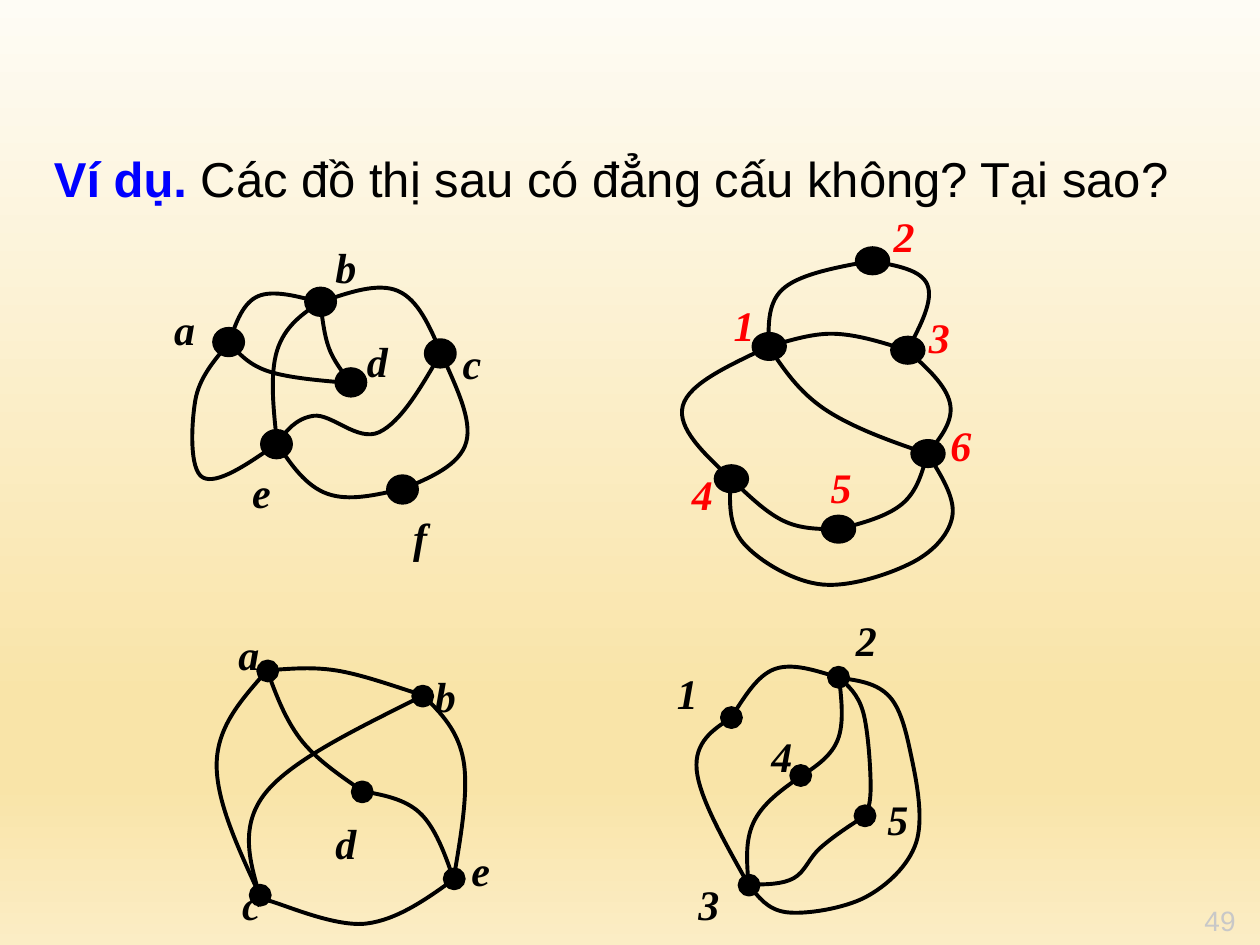
from lxml import etree
from pptx import Presentation
from pptx import util as u
from pptx.dml.color import RGBColor
from pptx.enum import shapes, text
from pptx.oxml.ns import qn

PX = 9144  # EMU per px, 100 px to the inch
COLORS = {"ink": "000000", "blue": "0000FF", "red": "FF0000", "number": "C8C8C8"}
BACKDROP = [(0, "FEFCF5"), (74, "F9E4A8"), (83, "F9E4A8"), (100, "FBEDC5")]
LABEL_FONT = {"name": "Times New Roman", "size": u.Pt(24), "bold": True, "italic": True}
TITLE_FONT = {"name": "Arial", "size": u.Pt(28)}
LABEL_WIDTH = {"c": 35, "e": 35, "f": 29}  # narrow letters, 37 otherwise

# Vertices: corner of the dot, corner of the label.
# Edges: two vertices and the points the curve passes between them.
GRAPHS = [
    {"dot": (23, 21), "label_color": "ink", "grouped": False,
     "vertices": {
         "a": ((170, 261), (128, 236)), "b": ((243, 229), (256, 187)),
         "d": ((267, 293), (281, 261)), "c": ((338, 270), (357, 263)),
         "e": ((208, 342), (190, 365)), "f": ((308, 378), (318, 401))},
     "edges": [
         ("ad", (214, 295)), ("ab", (205, 235)), ("db", (261, 276)),
         ("be", (220, 278)), ("bc", (316, 231)), ("ec", (249, 330), (301, 343)),
         ("ae", (155, 318), (161, 379)), ("ef", (260, 392)), ("fc", (370, 351))]},
    {"dot": (25, 20), "label_color": "red", "grouped": True,
     "vertices": {
         "2": ((680, 197), (699, 162)), "1": ((598, 265), (572, 233)),
         "3": ((708, 268), (727, 242)), "6": ((724, 350), (744, 328)),
         "4": ((568, 370), (539, 367)), "5": ((653, 410), (649, 361))},
     "edges": [
         ("12", (623, 228)), ("23", (736, 226)), ("13", (664, 265)),
         ("16", (655, 325)), ("36", (754, 320)), ("14", (542, 322)),
         ("45", (621, 413)), ("56", (716, 400)),
         ("46", (590, 431), (653, 464), (725, 446), (756, 409))]},
    {"dot": (15, 15), "label_color": "ink", "grouped": False,
     "vertices": {
         "a": ((205, 525), (179, 494)), "d": ((280, 621), (256, 644)),
         "b": ((328, 545), (335, 527)), "e": ((353, 690), (364, 665)),
         "c": ((199, 703), (182, 692))},
     "edges": [
         ("ab", (266, 532)), ("ac", (172, 605)), ("cb", (211, 629)),
         ("ad", (238, 586)), ("de", (333, 645)), ("ce", (214, 715), (291, 733)),
         ("be", (368, 604))]},
    {"dot": (15, 15), "label_color": "ink", "grouped": False,
     "vertices": {
         "1": ((573, 562), (527, 525)), "2": ((658, 530), (669, 483)),
         "3": ((587, 695), (544, 692)), "5": ((679, 640), (694, 625)),
         "4": ((628, 608), (602, 575))},
     "edges": [
         ("12", (615, 531)), ("13", (553, 611)), ("34", (598, 653)),
         ("42", (665, 587)), ("25", (685, 565), (691, 624)),
         ("35", (630, 697), (651, 673)),
         ("32", (624, 724), (687, 712), (727, 669), (724, 604), (706, 553))]},
]


def add_text(box, runs, frame_format, align=None, before=0):
    """Text box of one paragraph; runs are (text, colour, font format)."""
    frame = slide.shapes.add_textbox(*(v * PX for v in box)).text_frame
    for key, value in frame_format.items():
        setattr(frame, key, value)
    line = frame.paragraphs[0]
    line.alignment = align
    if before:
        spacing = etree.SubElement(line._p.get_or_add_pPr(), qn("a:spcBef"))
        etree.SubElement(spacing, qn("a:spcPct"), val=str(before * 1000))
    for words, color, font_format in runs:
        run = line.add_run()
        run.text = words
        run.font.color.rgb = RGBColor.from_string(COLORS[color])
        for key, value in font_format.items():
            setattr(run.font, key, value)


def paint(part, filled):
    """Black outline, with a black or an empty inside."""
    ink = RGBColor.from_string(COLORS["ink"])
    part.shadow.inherit = False
    part.line.color.rgb = ink
    part.line.width = u.Pt(2.25)
    if filled:
        part.fill.solid()
        part.fill.fore_color.rgb = ink
    else:
        part.fill.background()


deck = Presentation()
deck.slide_width, deck.slide_height = 1000 * PX, 750 * PX
slide = deck.slides.add_slide(deck.slide_layouts[6])

# Background gradient, top to bottom
backdrop = slide.background.fill
backdrop.gradient()
backdrop.gradient_angle = 270
stops = next(slide.element.iter(qn("a:gsLst")))
for stop in list(stops):
    stops.remove(stop)
for percent, color in BACKDROP:
    stop = etree.SubElement(stops, qn("a:gs"), pos=str(percent * 1000))
    etree.SubElement(stop, qn("a:srgbClr"), val=color)

# Slide number and question
no_margins = {f"margin_{side}": 0 for side in ("left", "top", "right", "bottom")}
add_text((956, 717, 27, 27), [("49", "number", {"name": "Arial", "size": u.Pt(16)})],
         {**no_margins, "word_wrap": False})
add_text((33, 113, 933, 52),
         [("Ví dụ. ", "blue", {**TITLE_FONT, "bold": True}),
          ("Các đồ thị sau có đẳng cấu không? Tại sao?", "ink", TITLE_FONT)],
         {"word_wrap": True}, before=20)

# Graphs
for graph in GRAPHS:
    canvas = slide.shapes.add_group_shape().shapes if graph["grouped"] else slide.shapes
    width, height = graph["dot"]

    # Vertices
    centers = {}
    for letter, ((x, y), label_at) in graph["vertices"].items():
        centers[letter] = (x + width / 2, y + height / 2)
        box = (v * PX for v in (x, y, width, height))
        paint(canvas.add_shape(shapes.MSO_SHAPE.OVAL, *box), True)

    # Edges: the slope at each point follows its two neighbours
    for (first, last), *bends in graph["edges"]:
        start, end = centers[first], centers[last]
        knots = [start, *bends, end]
        inner = []
        for (x0, y0), (x, y), (x1, y1) in zip(knots, knots[1:], knots[2:]):
            dx, dy = (x1 - x0) / 6, (y1 - y0) / 6
            inner += [(x - dx, y - dy), (x, y), (x + dx, y + dy)]
        leave, arrive = [((p[0] + q[0]) / 2, (p[1] + q[1]) / 2)
                         for p, q in ((start, inner[0]), (end, inner[-1]))]
        builder = canvas.build_freeform(*start, scale=PX)
        builder.add_line_segments([leave, *inner, arrive, end], close=False)
        edge = builder.convert_to_shape()
        paint(edge, False)

        # Every three line segments become one cubic curve
        outline = next(edge._element.iter(qn("a:path")))
        segments = outline.findall(qn("a:lnTo"))
        for i in range(0, len(segments), 3):
            curve = etree.SubElement(outline, qn("a:cubicBezTo"))
            for segment in segments[i:i + 3]:
                curve.append(segment[0])
                outline.remove(segment)

    # Labels
    for letter, (dot_at, label_at) in graph["vertices"].items():
        add_text((*label_at, LABEL_WIDTH.get(letter, 37), 50),
                 [(letter, graph["label_color"], LABEL_FONT)],
                 {"word_wrap": False, "vertical_anchor": text.MSO_ANCHOR.MIDDLE,
                  "auto_size": text.MSO_AUTO_SIZE.SHAPE_TO_FIT_TEXT},
                 text.PP_ALIGN.CENTER, before=50)

deck.save("out.pptx")
